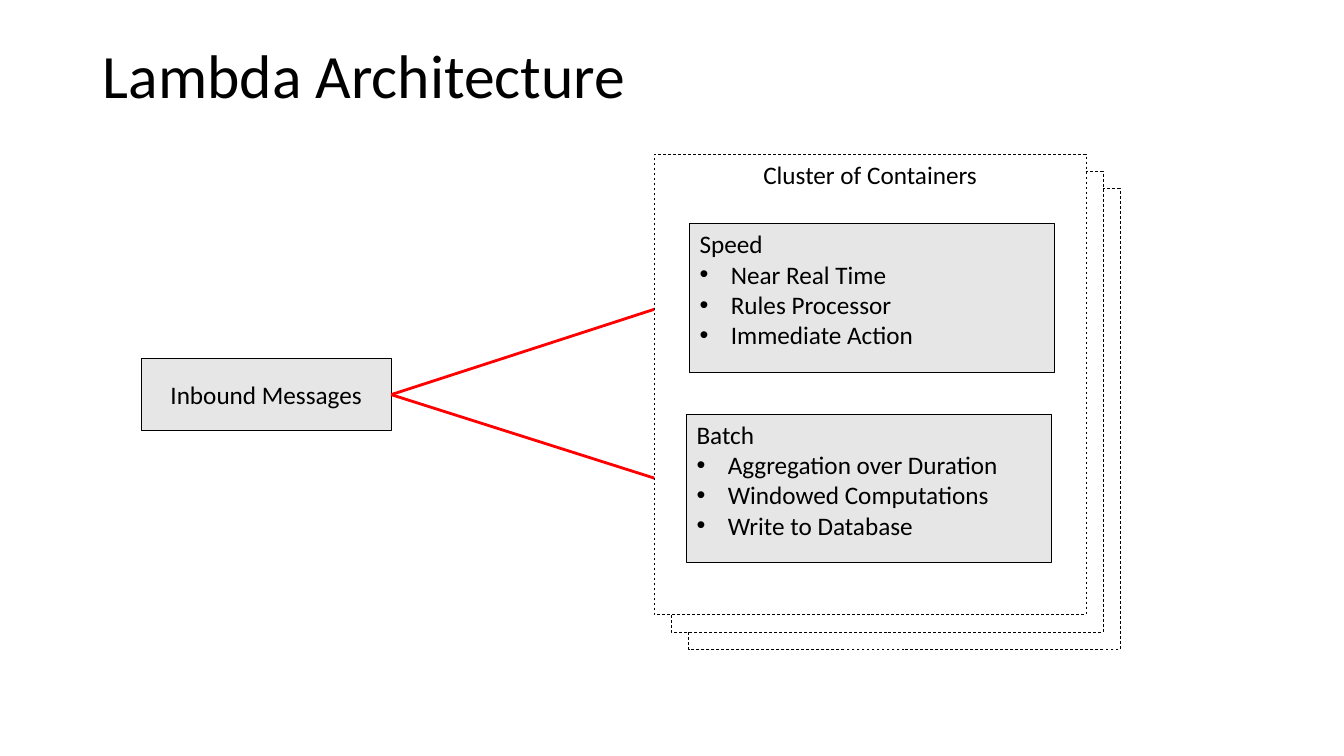
from lxml import etree
from pptx import Presentation
from pptx.dml.color import RGBColor
from pptx.enum import dml, shapes, text
from pptx.oxml.ns import qn
from pptx.util import Inches, Pt

FONT = "Calibri"
BLACK, WHITE, GREY, RED = "000000", "FFFFFF", "E7E6E6", "FF0000"
RIGHT_SIDE, LEFT_SIDE = 3, 1


def color(hex_value):
    """Return the colour for a hex string."""
    return RGBColor.from_string(hex_value)


def style_paragraph(paragraph, size, alignment=text.PP_ALIGN.LEFT):
    """Set the font and alignment of a paragraph."""
    paragraph.alignment = alignment
    paragraph.font.name = FONT
    paragraph.font.size = Pt(size)
    paragraph.font.color.rgb = color(BLACK)


def add_bullet(paragraph):
    """Give a paragraph a round bullet with a hanging indent."""
    properties = paragraph._p.get_or_add_pPr()
    properties.set("marL", str(Inches(0.31)))
    properties.set("indent", str(Inches(-0.31)))
    etree.SubElement(properties, qn("a:buFont"), typeface="Arial")
    etree.SubElement(properties, qn("a:buChar"), char="•")


def set_title(slide, wording):
    """Place and format the slide title."""
    title = slide.shapes.title
    title.left, title.top = Inches(0.92), Inches(0.4)
    title.width, title.height = Inches(11.5), Inches(0.76)
    frame = title.text_frame
    frame.text = wording
    frame.vertical_anchor = text.MSO_ANCHOR.MIDDLE
    style_paragraph(frame.paragraphs[0], 44)
    frame.paragraphs[0].line_spacing = 0.9


def add_box(slide, left, top, width, height, fill):
    """Add a thinly outlined rectangle."""
    box = slide.shapes.add_shape(
        shapes.MSO_SHAPE.RECTANGLE,
        Inches(left), Inches(top), Inches(width), Inches(height))
    box.shadow.inherit = False
    box.fill.solid()
    box.fill.fore_color.rgb = color(fill)
    box.line.color.rgb = color(BLACK)
    box.line.width = Pt(0.5)
    return box


def add_container(slide, left, top):
    """Add one dashed container outline."""
    container = add_box(slide, left, top, 4.28, 4.57, WHITE)
    container.line.dash_style = dml.MSO_LINE.DASH
    return container


def write_label(box, wording, anchor):
    """Write a centred label in a box."""
    frame = box.text_frame
    frame.text = wording
    frame.vertical_anchor = anchor
    style_paragraph(frame.paragraphs[0], 18, text.PP_ALIGN.CENTER)


def add_layer(slide, left, top, heading, items):
    """Add a processing layer with a heading and bulleted items."""
    layer = add_box(slide, left, top, 3.62, 1.47, GREY)
    frame = layer.text_frame
    frame.text = "\n".join([heading, *items])
    frame.vertical_anchor = text.MSO_ANCHOR.TOP
    for paragraph in frame.paragraphs:
        style_paragraph(paragraph, 18)
    for paragraph in frame.paragraphs[1:]:
        add_bullet(paragraph)
    return layer


def add_arrow(slide, source):
    """Add a red arrow that leaves the right side of a box."""
    arrow = slide.shapes.add_connector(shapes.MSO_CONNECTOR.STRAIGHT, 0, 0, 0, 0)
    arrow.begin_connect(source, RIGHT_SIDE)
    arrow.line.color.rgb = color(RED)
    arrow.line.width = Pt(2)
    etree.SubElement(arrow.line._get_or_add_ln(), qn("a:tailEnd"), type="arrow")
    etree.SubElement(arrow._element.spPr, qn("a:effectLst"))
    return arrow


def main():
    """Build and save the slide."""
    presentation = Presentation()
    presentation.slide_width = Inches(13.33)
    presentation.slide_height = Inches(7.5)
    slide = presentation.slides.add_slide(presentation.slide_layouts[5])
    set_title(slide, "Lambda Architecture")

    left, top, step = 6.49, 1.53, 0.17
    for depth in (2, 1):
        add_container(slide, left + depth * step, top + depth * step)

    inbound = add_box(slide, 1.4, 3.56, 2.48, 0.71, GREY)
    write_label(inbound, "Inbound Messages", text.MSO_ANCHOR.MIDDLE)
    arrows = [add_arrow(slide, inbound) for _ in range(2)]

    cluster = add_container(slide, left, top)
    write_label(cluster, "Cluster of Containers", text.MSO_ANCHOR.TOP)
    layers = [
        add_layer(slide, 6.84, 2.22, "Speed",
                  ["Near Real Time", "Rules Processor", "Immediate Action"]),
        add_layer(slide, 6.81, 4.11, "Batch",
                  ["Aggregation over Duration", "Windowed Computations",
                   "Write to Database"]),
    ]
    for arrow, layer in zip(arrows, layers):
        arrow.end_connect(layer, LEFT_SIDE)

    presentation.save("out.pptx")


if __name__ == "__main__":
    main()
